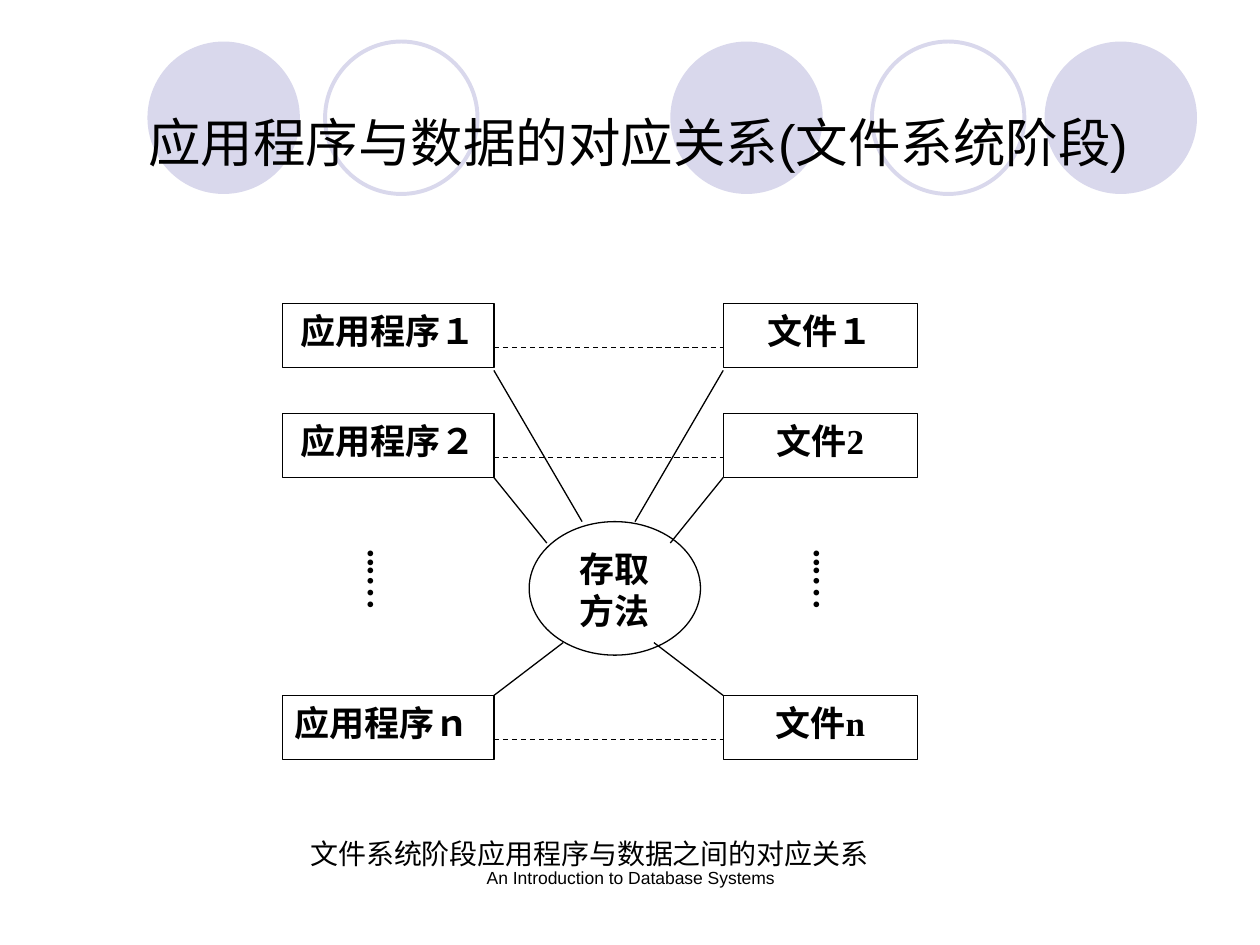
from pptx import Presentation
from pptx.util import Inches, Pt
from pptx.dml.color import RGBColor
from pptx.enum.dml import MSO_LINE
from pptx.enum.shapes import MSO_SHAPE, MSO_CONNECTOR
from pptx.enum.text import PP_ALIGN, MSO_ANCHOR
from pptx.oxml.ns import qn
from lxml.etree import SubElement

THEME = {
    "ink": RGBColor(0, 0, 0),
    "paper": RGBColor(255, 255, 255),
    "lilac": RGBColor(0xD9, 0xD8, 0xEC),
    "sans": "Arial", "serif": "Times New Roman",
    "title": 30, "node": 20, "note": 16, "foot": 10,
    "thin": 0.75, "ring": 2.25,
}
TITLE = "应用程序与数据的对应关系(文件系统阶段)"
NOTE = "文件系统阶段应用程序与数据之间的对应关系"
FOOT = "An Introduction to Database Systems"
HUB = "存取方法"
DOTS = "...…"
ROWS = [
    ("应用程序１", "文件１", 2.41, PP_ALIGN.CENTER),
    ("应用程序２", "文件2", 3.28, PP_ALIGN.CENTER),
    ("应用程序ｎ", "文件n", 5.52, PP_ALIGN.JUSTIFY),
]
DISCS = [(1.17, True), (2.58, False), (5.32, True), (6.92, False), (8.29, True)]
SPOKES = [(2.94, 0.42, 4.14), (3.79, 0.14, 4.31), (5.52, 0.27, 5.1)]
LEFT, APP, FILE, TALL = 2.24, 1.68, 1.54, 0.51
EDGE, FAR = LEFT + APP, 5.74
HUB_X, HUB_Y, HUB_W, HUB_H = 4.2, 4.14, 1.36, 1.06

deck = Presentation()
deck.slide_width, deck.slide_height = Inches(10), Inches(7.5)
slide = deck.slides.add_slide(deck.slide_layouts[6])
shapes = slide.shapes


def write(shape, text, size, font, bold=False, align=PP_ALIGN.CENTER,
          anchor=MSO_ANCHOR.TOP, wrap=True):
    frame = shape.text_frame
    frame.text = text
    frame.word_wrap = wrap
    frame.vertical_anchor = anchor
    para = frame.paragraphs[0]
    para.alignment = align
    face = para.runs[0].font
    face.size, face.name, face.bold = Pt(size), font, bold
    face.color.rgb = THEME["ink"]
    return frame


def draw(kind, box, fill=None, line=None, width=THEME["thin"]):
    shape = shapes.add_shape(kind, *map(Inches, box))
    shape.shadow.inherit = False
    if fill is None:
        shape.fill.background()
    else:
        shape.fill.solid()
        shape.fill.fore_color.rgb = fill
    if line is None:
        shape.line.fill.background()
    else:
        shape.line.color.rgb = line
        shape.line.width = Pt(width)
    return shape


def node(kind, box, text, align=PP_ALIGN.CENTER):
    shape = draw(kind, box, THEME["paper"], THEME["ink"])
    write(shape, text, THEME["node"], THEME["serif"], True, align)


def label(box, text, size, font, **style):
    return write(shapes.add_textbox(*map(Inches, box)), text, size, font, **style)


def link(start, end, dash=False):
    wire = shapes.add_connector(MSO_CONNECTOR.STRAIGHT, *map(Inches, start + end))
    wire.line.color.rgb = THEME["ink"]
    wire.line.width = Pt(THEME["thin"])
    if dash:
        wire.line.dash_style = MSO_LINE.DASH
    SubElement(wire.element.spPr, qn("a:effectLst"))


for x, full in DISCS:
    box = (x, 0.33, 1.21, 1.21)
    if full:
        draw(MSO_SHAPE.OVAL, box, THEME["lilac"])
    else:
        draw(MSO_SHAPE.OVAL, box, None, THEME["lilac"], THEME["ring"])

label((3.42, 6.83, 3.17, 0.5), FOOT, THEME["foot"], THEME["sans"])
label((1.08, 0.5, 8.67, 1.25), TITLE, THEME["title"], THEME["sans"],
      align=PP_ALIGN.LEFT, anchor=MSO_ANCHOR.MIDDLE)

for app, file, y, align in ROWS:
    node(MSO_SHAPE.RECTANGLE, (LEFT, y, APP, TALL), app, align)
    node(MSO_SHAPE.RECTANGLE, (FAR, y, FILE, TALL), file)
    link((EDGE, y + 0.35), (FAR, y + 0.35), True)

node(MSO_SHAPE.OVAL, (HUB_X, HUB_Y, HUB_W, HUB_H), HUB)
for y, inset, end in SPOKES:
    link((EDGE, y), (HUB_X + inset, end))
    link((FAR, y), (FAR - (HUB_X + inset - EDGE), end))

for x, high in [(2.72, 0.91), (6.26, 0.99)]:
    frame = label((x, 4.26, 0.53, high), DOTS, THEME["node"], THEME["serif"],
                  bold=True, align=PP_ALIGN.LEFT)
    frame.margin_left = frame.margin_right = Inches(0.05)
    frame.margin_top = frame.margin_bottom = Inches(0.1)
    frame.paragraphs[0].space_before = Pt(12.5)
    frame._txBody.bodyPr.set("vert", "eaVert")

label((1.96, 6.59, 5.44, 0.4), NOTE, THEME["note"], THEME["serif"], wrap=False)

deck.save("out.pptx")
